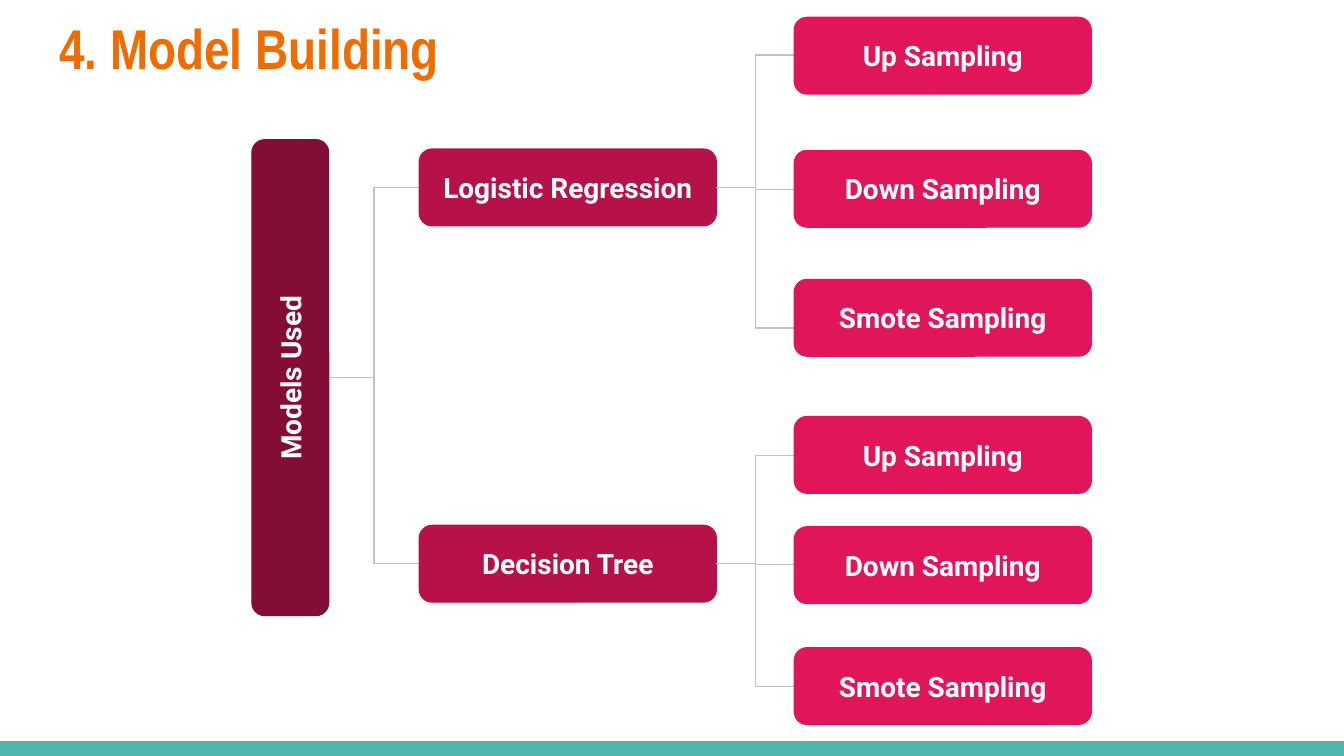
import pptx
import pptx.util
import pptx.dml.color
import pptx.enum.shapes
import pptx.enum.text
import pptx.oxml.ns
import lxml.etree

Inches, Pt = pptx.util.Inches, pptx.util.Pt
SHAPE = pptx.enum.shapes.MSO_SHAPE
ALIGN = pptx.enum.text.PP_ALIGN
ANCHOR = pptx.enum.text.MSO_ANCHOR

# Content: each model has its box top and its sampling methods;
# each method has its box top and the height where its branch arrives
TITLE = "4. Model Building"
ROOT = "Models Used"
MODELS = [
    ("Logistic Regression", 1.11, [
        ("Up Sampling", 0.13, 0.41),
        ("Down Sampling", 1.12, 1.41),
        ("Smote Sampling", 2.08, 2.44),
    ]),
    ("Decision Tree", 3.91, [
        ("Up Sampling", 3.10, 3.39),
        ("Down Sampling", 3.92, 4.20),
        ("Smote Sampling", 4.82, 5.11),
    ]),
]
COLORS = {
    "title": "EF6C00", "bar": "4DB6AC", "root": "840D35", "model": "B61249",
    "method": "E1165A", "line": "C2C2C2", "text": "FFFFFF",
}

# Layout: a 16:9 slide
SLIDE_W = 10
SLIDE_H = SLIDE_W * 9 / 16
BAR_H = 0.11
BOX_W, BOX_H = 2.21, 0.57
MODEL_X, METHOD_X = 3.12, 5.91
ROOT_LEN, ROOT_CX, ROOT_CY = 3.54, 2.16, 2.81


def rgb(name):
    return pptx.dml.color.RGBColor.from_string(COLORS[name])


def write(tf, text, size=15, font="Roboto", color="text",
          align=ALIGN.CENTER, anchor=ANCHOR.MIDDLE):
    tf.word_wrap = True
    tf.auto_size = pptx.enum.text.MSO_AUTO_SIZE.NONE
    tf.vertical_anchor = anchor
    tf.margin_left = tf.margin_right = Inches(0.1)
    tf.margin_top = tf.margin_bottom = Inches(0.1)
    p = tf.paragraphs[0]
    p.alignment = align
    r = p.add_run()
    r.text = text
    r.font.size, r.font.name, r.font.bold = Pt(size), font, True
    r.font.color.rgb = rgb(color)


def add_block(kind, x, y, w, h, color):
    sp = s.shapes.add_shape(kind, Inches(x), Inches(y), Inches(w), Inches(h))
    sp.shadow.inherit = False
    sp.fill.solid()
    sp.fill.fore_color.rgb = rgb(color)
    sp.line.fill.background()
    return sp


def add_node(text, x, y, color, w=BOX_W, rotation=0):
    sp = add_block(SHAPE.ROUNDED_RECTANGLE, x, y, w, BOX_H, color)
    sp.line.color.rgb = rgb(color)
    sp.line.width = Pt(0.75)
    sp.rotation = rotation
    write(sp.text_frame, text)


def add_branch(x1, y1, x2, y2):
    line = s.shapes.add_connector(
        pptx.enum.shapes.MSO_CONNECTOR.ELBOW,
        Inches(x1), Inches(y1), Inches(x2), Inches(y2))
    line.line.color.rgb = rgb("line")
    line.line.width = Pt(0.75)
    lxml.etree.SubElement(line._element.spPr, pptx.oxml.ns.qn("a:effectLst"))


prs = pptx.Presentation()
prs.slide_width, prs.slide_height = Inches(SLIDE_W), Inches(SLIDE_H)
s = prs.slides.add_slide(prs.slide_layouts[5])

# Title and bottom bar
title = s.shapes.title
title.left, title.top = Inches(0.34), Inches(0)
title.width, title.height = Inches(9.32), Inches(0.69)
write(title.text_frame, TITLE, size=30, font="Arial Narrow", color="title",
      align=ALIGN.LEFT, anchor=ANCHOR.TOP)
add_block(SHAPE.RECTANGLE, 0, SLIDE_H - BAR_H, SLIDE_W, BAR_H, "bar")

# Root, turned to read upwards
add_node(ROOT, ROOT_CX - ROOT_LEN / 2, ROOT_CY - BOX_H / 2, "root",
         w=ROOT_LEN, rotation=270)

# Models and their sampling methods
for model, top, methods in MODELS:
    middle = top + BOX_H / 2
    add_branch(ROOT_CX + BOX_H / 2, ROOT_CY, MODEL_X, middle)
    add_node(model, MODEL_X, top, "model")
    for method, method_top, arrival in methods:
        add_branch(MODEL_X + BOX_W, middle, METHOD_X, arrival)
        add_node(method, METHOD_X, method_top, "method")

prs.save("out.pptx")
